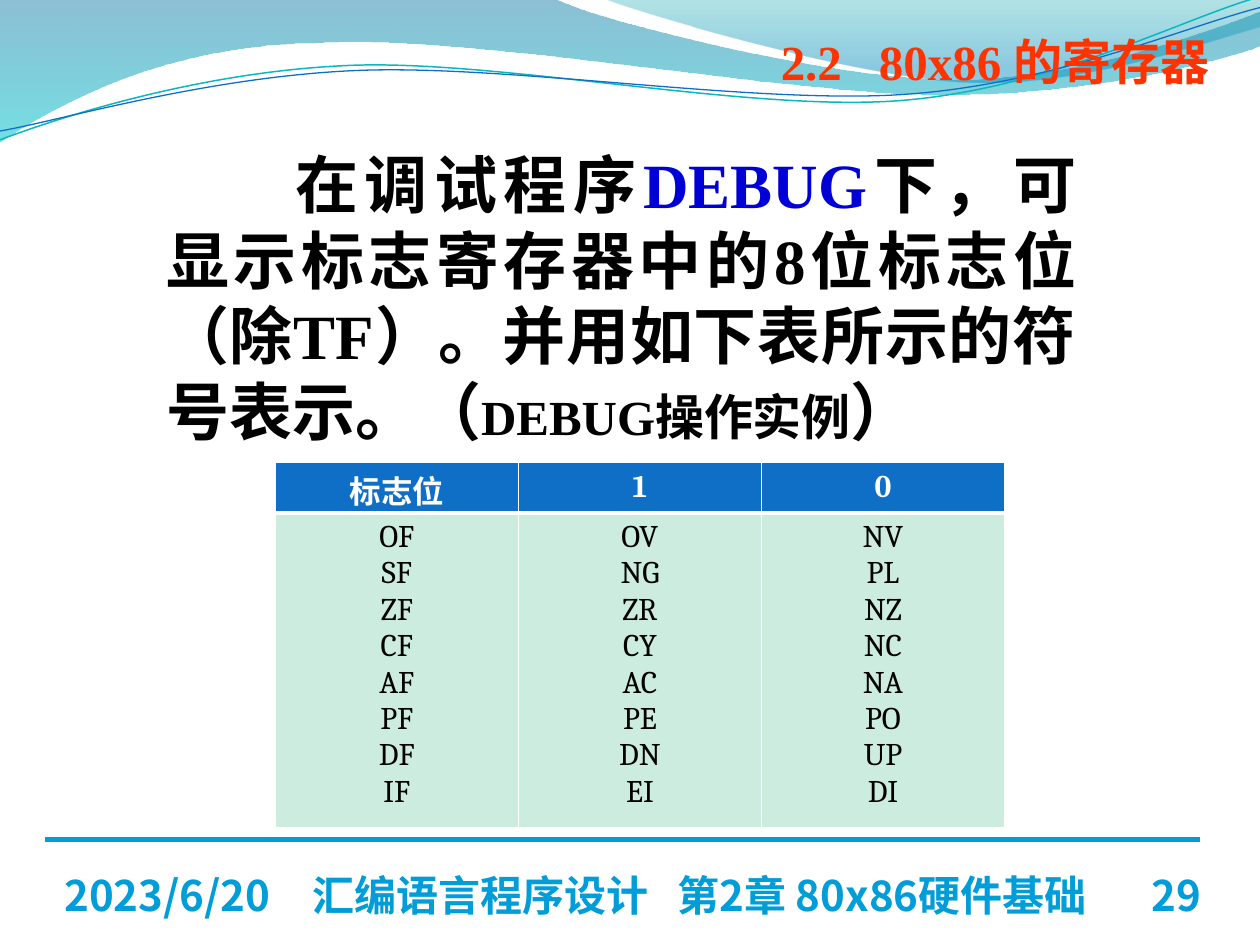
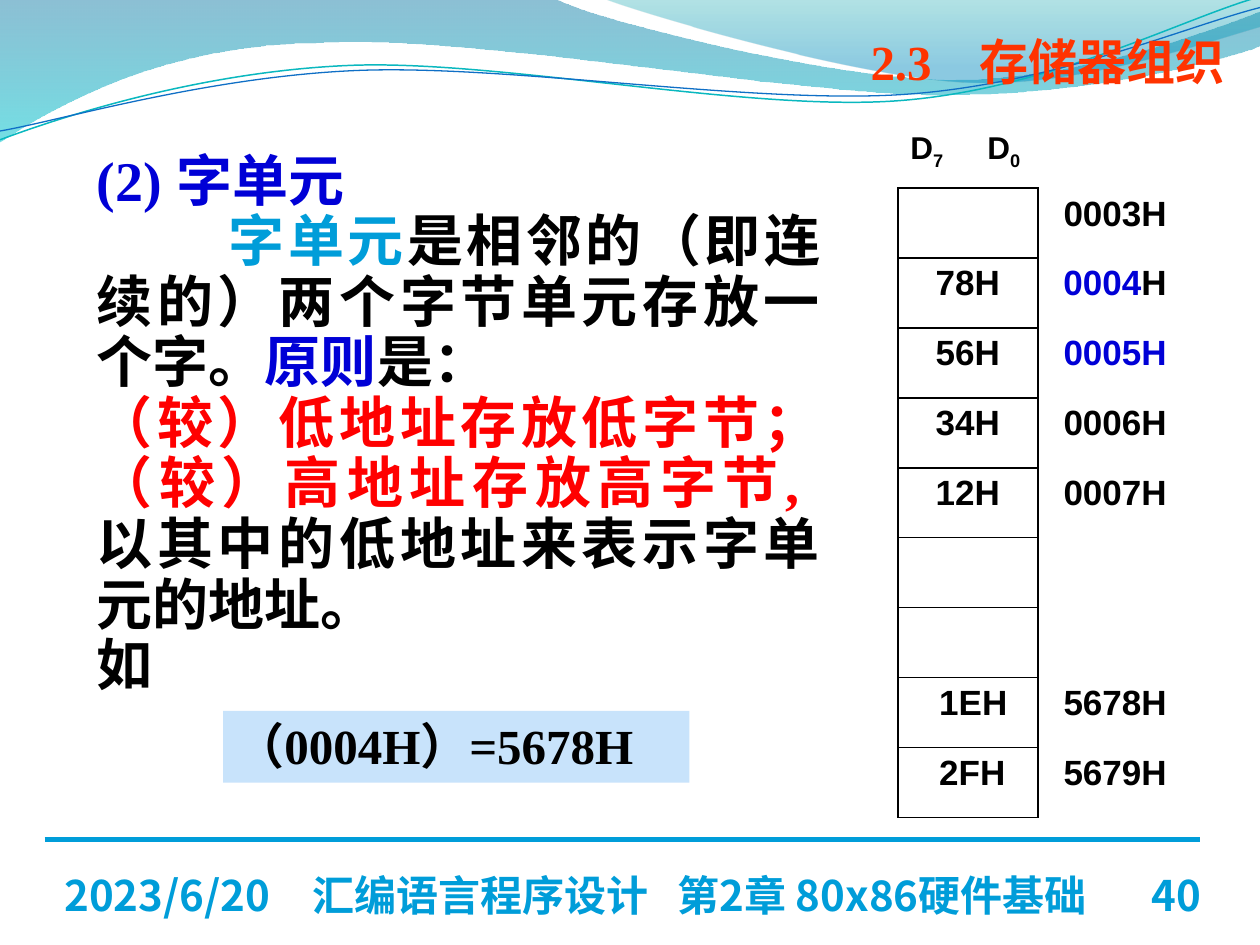
"""Build two lecture slides on the 80x86 flag register and word units in memory."""
from lxml import etree
from pptx import Presentation
from pptx import util as u
from pptx.dml.color import RGBColor
from pptx.enum import shapes, text
from pptx.oxml import parse_xml
from pptx.oxml.ns import nsdecls, qn

BLACK = RGBColor(0x00, 0x00, 0x00)
WHITE = RGBColor(0xFF, 0xFF, 0xFF)
BLUE = RGBColor(0x00, 0x00, 0xD6)
RED = RGBColor(0xFF, 0x00, 0x00)
ORANGE = RGBColor(0xFF, 0x33, 0x00)
SKY = RGBColor(0x00, 0x9D, 0xD9)
PALE_SKY = RGBColor(0xC8, 0xE3, 0xFB)
HEADER_BLUE = RGBColor(0x0F, 0x6F, 0xC6)
TEAL = RGBColor(0x0A, 0xB8, 0xBF)
MINT = RGBColor(0xCB, 0xEC, 0xDE)
SERIF, SANS, TABLE_FONT, FOOTER_FONT = "Times New Roman", "Arial", "Cambria", "Noto Sans CJK JP"
CHINESE = "Noto Sans CJK SC"
LEFT, CENTER, RIGHT, JUSTIFY = (getattr(text.PP_ALIGN, n) for n in ("LEFT", "CENTER", "RIGHT", "JUSTIFY"))
NO_STYLE = "{2D5ABB26-0587-4C30-8999-92F81FD0307C}"
INCH = 2.54

BANDS = [
    ([(0, -0.01), (4.4, -0.01), (4.76, 0.17, 6.64, 0.63, 7.58, 0.63),
      (8.53, 0.63, 9.58, 0.26, 10, 0.09), (10.01, 0.36),
      (9.83, 0.44, 8.7, 0.76, 7.46, 0.75), (6.22, 0.75, 3.82, 0.28, 2.57, 0.34),
      (1.29, 0.35, 0.46, 0.83, -0.01, 1.13)],
     [(0, "0074A1", 45), (100, "00C6CF", 55)]),
    ([(4.79, -0.01), (5.09, 0.11, 6.82, 0.62, 7.69, 0.65),
      (8.56, 0.69, 9.61, 0.32, 10, 0.21), (10, 0)],
     [(0, "00A1A9", 30), (80, "008BBF", 45)]),
]
WAVES = [
    ([(0, 1.11), (0.48, 0.93, 1.58, 0.57, 2.77, 0.52), (3.95, 0.47, 5.93, 0.89, 7.13, 0.8),
      (8.33, 0.71, 9.38, 0.15, 9.98, -0.02)], TEAL, 0.85),
    ([(0, 1.04), (0.47, 0.96, 1.64, 0.61, 2.83, 0.56), (4.03, 0.51, 5.97, 0.83, 7.17, 0.75),
      (8.36, 0.67, 9.41, 0.21, 10, 0.06)], HEADER_BLUE, 0.75),
]
DATE, COURSE = "2023/6/20", "汇编语言程序设计\t第2章 80x86硬件基础"

FLAG_TEXT = [
    ("在调试程序", {}), ("DEBUG", {"color": BLUE}),
    ("下，可显示标志寄存器中的8位标志位（除TF）。并用如下表所示的符号表示。（", {}),
    ("DEBUG操作实例", {"size": 28}), ("）", {}),
]
FLAGS = [
    ("标志位", 25, "OF SF ZF CF AF PF DF IF"),
    ("1", None, "OV NG ZR CY AC PE DN EI"),
    ("0", None, "NV PL NZ NC NA PO UP DI"),
]
WORD_TEXT = [
    ([("(2) 字单元", {"color": BLUE})], {"line": 38.4}),
    ([("字单元", {"color": SKY}), ("是相邻的（即连续的）两个字节单元存放一个字。", {}),
      ("原则", {"color": BLUE}), ("是：", {})], {"first": 2.66}),
    ([("（较）低地址存放低字节；（较）高地址存放高字节, \v", {"color": RED}),
      ("以其中的低地址来表示字单元的地址。", {})], {}),
    ("如", {}),
]
BITS = [("D", {}), ("7", {"base": -25}), ("\tD", {}), ("0", {"base": -25})]
MEMORY = [
    ("", "0003H"), ("78H", [("0004", {"color": BLUE}), ("H", {})]),
    ("56H", [("0005H", {"color": BLUE})]), ("34H", "0006H"), ("12H", "0007H"),
    ("", ""), ("", ""), ("1EH", "5678H"), ("2FH", "5679H"),
]
INDENTED = ("1EH", "2FH")


def write(p, runs, size=18, font=SERIF, color=BLACK, bold=True, align=LEFT,
          tab=None, first=0, left=0, line=None):
    """Fill one paragraph with a string or with (text, overrides) runs."""
    pPr = p._p.get_or_add_pPr()
    if first or left:
        pPr.set("marL", str(u.Cm(left)))
        pPr.set("indent", str(u.Cm(first)))
    if tab:
        tabs = etree.SubElement(pPr, qn("a:tabLst"))
        etree.SubElement(tabs, qn("a:tab"), pos=str(u.Cm(tab)), algn="l")
    p.alignment = align
    if line:
        p.line_spacing = u.Pt(line)
    for words, own in [(runs, {})] if isinstance(runs, str) else runs:
        for i, part in enumerate(words.split("\v")):
            if i:
                p.add_line_break()
            if not part:
                continue
            r = p.add_run()
            r.text = part
            r.font.size = u.Pt(own.get("size", size))
            r.font.name, r.font.bold = font, bold
            r.font.color.rgb = own.get("color", color)
            rPr = r._r.get_or_add_rPr()
            etree.SubElement(rPr, qn("a:ea"), typeface=font if font == FOOTER_FONT else CHINESE)
            if "base" in own:
                rPr.set("baseline", str(own["base"] * 1000))


def fill_text(tf, paras, **fmt):
    """Write (runs, overrides) paragraphs into a text frame."""
    for i, (runs, own) in enumerate(paras):
        p = tf.add_paragraph() if i else tf.paragraphs[0]
        write(p, runs, **{**fmt, **own})


def add_text(s, box, paras, bare=False, **fmt):
    """Add a wrapping text box; a bare one has no insets and sits on its bottom edge."""
    tf = s.shapes.add_textbox(*map(u.Cm, box)).text_frame
    tf.word_wrap = True
    if bare:
        tf.margin_left = tf.margin_right = tf.margin_top = tf.margin_bottom = 0
        tf.vertical_anchor = text.MSO_ANCHOR.BOTTOM
    fill_text(tf, [(paras, {})] if isinstance(paras, str) else paras, **fmt)


def add_outline(s, segments, close):
    """Draw an unfilled freeform; six numbers make a cubic curve, two a straight side."""
    ends = [tuple(u.Cm(v * INCH) for v in seg[-2:]) for seg in segments]
    builder = s.shapes.build_freeform(*ends[0], scale=1.0)
    builder.add_line_segments(ends[1:], close=close)
    sp = builder.convert_to_shape()
    for seg, side in zip(segments[1:], list(sp._element.iter(qn("a:lnTo")))):
        if len(seg) == 6:
            curve = etree.Element(qn("a:cubicBezTo"))
            for x, y in zip(seg[::2], seg[1::2]):
                etree.SubElement(curve, qn("a:pt"), x=str(u.Cm(x * INCH) - sp.left),
                                 y=str(u.Cm(y * INCH) - sp.top))
            side.getparent().replace(side, curve)
    sp.shadow.inherit = False
    sp.fill.background()
    return sp


def add_frame(s):
    """Draw the bands, waves and rule that every slide shares."""
    for segments, stops in BANDS:
        sp = add_outline(s, segments, True)
        sp.line.fill.background()
        gs = "".join(f'<a:gs pos="{pos * 1000}"><a:srgbClr val="{rgb}">'
                     f'<a:alpha val="{alpha * 1000}"/></a:srgbClr></a:gs>' for pos, rgb, alpha in stops)
        grad = parse_xml(f'<a:gradFill {nsdecls("a")} rotWithShape="1"><a:gsLst>{gs}</a:gsLst>'
                         '<a:lin ang="5400000" scaled="0"/></a:gradFill>')
        spPr = sp._element.spPr
        spPr.replace(spPr.find(qn("a:noFill")), grad)
    for segments, color, width in WAVES:
        sp = add_outline(s, segments, False)
        sp.line.color.rgb, sp.line.width = color, u.Pt(width)
    rule = s.shapes.add_connector(shapes.MSO_CONNECTOR.STRAIGHT,
                                  u.Cm(0.9), u.Cm(16.92), u.Cm(24.19), u.Cm(16.92))
    rule.line.color.rgb, rule.line.width = SKY, u.Pt(3)
    etree.SubElement(rule._element.spPr, qn("a:effectLst"))


def add_labels(s, number, title, left, width, tab):
    """Write the footer and the section title."""
    footer = dict(bare=True, size=24, font=FOOTER_FONT, color=SKY)
    add_text(s, (22.1, 17.53, 2.11, 1.02), number, align=RIGHT, **footer)
    add_text(s, (1.3, 17.53, 5.92, 1.02), DATE, **footer)
    add_text(s, (6.3, 17.53, 17, 1.02), COURSE, tab=7.36, **footer)
    add_text(s, (left, 0.53, width, 1.45), title, size=28, color=ORANGE, tab=tab, line=33)


def add_table(s, left, top, widths, heights):
    """Add a table without any built-in style."""
    frame = s.shapes.add_table(len(heights), len(widths), u.Cm(left), u.Cm(top),
                               u.Cm(sum(widths)), u.Cm(sum(heights)))
    table = frame.table
    table.first_row = table.horz_banding = False
    table._tbl.tblPr.find(qn("a:tableStyleId")).text = NO_STYLE
    for col, width in zip(table.columns, widths):
        col.width = u.Cm(width)
    for row, height in zip(table.rows, heights):
        row.height = u.Cm(height)
    return table


def set_borders(cell, color, **widths):
    """Rule the given sides (L, R, T, B, in that order) of a cell that has no fill yet."""
    tcPr = cell._tc.get_or_add_tcPr()
    for side, width in widths.items():
        ln = etree.SubElement(tcPr, qn(f"a:ln{side}"), w=str(u.Pt(width)))
        solid = etree.SubElement(ln, qn("a:solidFill"))
        etree.SubElement(solid, qn("a:srgbClr"), val=str(color))


def paint(cell, color):
    """Give a cell a solid fill."""
    cell.fill.solid()
    cell.fill.fore_color.rgb = color


def flags_slide(s):
    """Show the flag symbols used by DEBUG."""
    add_text(s, (3.1, 2.81, 18.85, 6.35), [(FLAG_TEXT, {})], size=36, align=JUSTIFY,
             first=2.6, line=43.2)
    table = add_table(s, 5.55, 9.32, [4.9] * 3, [1.02, 6.35])
    for c, (head, line, symbols) in enumerate(FLAGS):
        top, body = table.cell(0, c), table.cell(1, c)
        top.margin_bottom = 0
        set_borders(top, WHITE, L=1, R=1, T=1, B=3)
        set_borders(body, WHITE, L=1, R=1, T=3, B=1)
        paint(top, HEADER_BLUE)
        paint(body, MINT)
        fmt = dict(font=TABLE_FONT, align=CENTER)
        fill_text(top.text_frame, [(head, {})], color=WHITE, line=line, **fmt)
        fill_text(body.text_frame, [(name, {}) for name in symbols.split()], bold=False, **fmt)


def memory_slide(s):
    """Explain word units beside a memory map."""
    add_text(s, (1.7, 2.8, 15.09, 11.48), WORD_TEXT, size=32, align=JUSTIFY, line=34.6)
    table = add_table(s, 18.1, 2.52, [2.82, 3.12], [1.27] + [1.41] * len(MEMORY))
    write(table.cell(0, 0).text_frame.paragraphs[0], BITS, font=SANS, tab=1.55)
    for i, (value, address) in enumerate(MEMORY, 1):
        cell = table.cell(i, 0)
        set_borders(cell, BLACK, L=1, R=1, T=1, B=1)
        place = dict(left=0.58) if value in INDENTED else dict(align=CENTER)
        for target, words, own in ((cell, value, place), (table.cell(i, 1), address, dict(align=CENTER))):
            if words:
                write(target.text_frame.paragraphs[0], words, size=20, font=SANS, **own)
    sp = s.shapes.add_shape(shapes.MSO_SHAPE.RECTANGLE, *map(u.Cm, (4.5, 14.33, 9.4, 1.45)))
    sp.shadow.inherit = False
    sp.fill.solid()
    sp.fill.fore_color.rgb = PALE_SKY
    sp.line.fill.background()
    sp.text_frame.vertical_anchor = text.MSO_ANCHOR.TOP
    write(sp.text_frame.paragraphs[0], "（0004H）=5678H", size=28, line=33)


SLIDES = [
    (flags_slide, ("29", "2.2\t80x86 的寄存器", 15.49, 9.5, 1.98)),
    (memory_slide, ("40", "2.3\t存储器组织", 17.3, 8.1, 2.2)),
]


def main():
    """Assemble and save the deck."""
    prs = Presentation()
    prs.slide_width, prs.slide_height = u.Cm(25.4), u.Cm(19.05)
    for draw, labels in SLIDES:
        s = prs.slides.add_slide(prs.slide_layouts[6])
        add_frame(s)
        draw(s)
        add_labels(s, *labels)
    prs.save("out.pptx")


if __name__ == "__main__":
    main()
